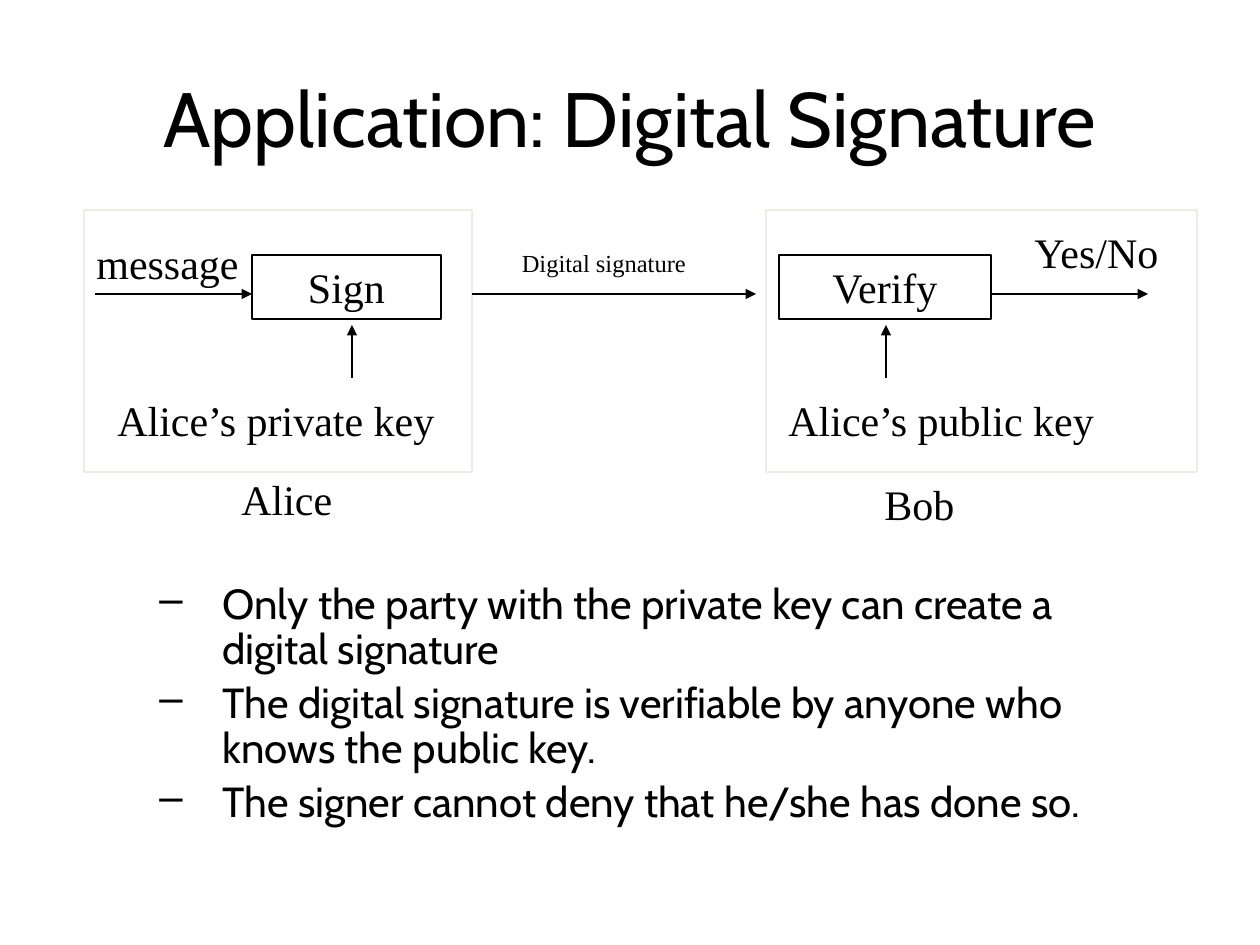
from lxml.etree import SubElement
from pptx import Presentation
from pptx.dml.color import RGBColor
from pptx.enum.shapes import MSO_CONNECTOR, MSO_SHAPE
from pptx.enum.text import MSO_ANCHOR, PP_ALIGN
from pptx.oxml.ns import qn
from pptx.util import Pt

SCALE = 914400 / 126
COLORS = {"ink": "000000", "paper": "FFFFFF", "frame": "EEECE1"}
SERIF, SANS = "Times New Roman", "Cabin"


def emu(*pixels):
    """Turn pixel lengths into EMU."""
    return [round(pixel * SCALE) for pixel in pixels]


def write(paragraph, text, size, font, align=PP_ALIGN.LEFT):
    """Put formatted text into a paragraph."""
    paragraph.text = text
    paragraph.alignment = align
    paragraph.font.size = Pt(size)
    paragraph.font.name = font
    paragraph.font.color.rgb = RGBColor.from_string(COLORS["ink"])


presentation = Presentation()
presentation.slide_width, presentation.slide_height = emu(1260, 945)
slide = presentation.slides.add_slide(presentation.slide_layouts[5])
shapes = slide.shapes

title = shapes.title
title.left, title.top, title.width, title.height = emu(63, 38, 1134, 158)
title.text_frame.vertical_anchor = MSO_ANCHOR.MIDDLE
write(title.text_frame.paragraphs[0], "Application: Digital Signature", 44, SANS, PP_ALIGN.CENTER)

# The two parties, each with one processing step
boxes = [
    ("", 766, 210, 431, 262, "frame", 0.75),
    ("", 84, 210, 388, 262, "frame", 0.75),
    ("Sign", 252, 255, 189, 64, "ink", 1),
    ("Verify", 779, 255, 212, 64, "ink", 1),
]
for text, left, top, width, height, line, weight in boxes:
    box = shapes.add_shape(MSO_SHAPE.RECTANGLE, *emu(left, top, width, height))
    box.shadow.inherit = False
    box.line.color.rgb = RGBColor.from_string(COLORS[line])
    box.line.width = Pt(weight)
    if text:
        box.fill.background()
        box.text_frame.vertical_anchor = MSO_ANCHOR.TOP
        write(box.text_frame.paragraphs[0], text, 24, SERIF, PP_ALIGN.CENTER)
    else:
        box.fill.solid()
        box.fill.fore_color.rgb = RGBColor.from_string(COLORS["paper"])

labels = [
    ("message", 84, 231, 168, 63, 24, PP_ALIGN.LEFT),
    ("Digital signature", 494, 242, 220, 42, 14, PP_ALIGN.CENTER),
    ("Yes/No", 1022, 220, 154, 63, 24, PP_ALIGN.LEFT),
    ("Alice’s private key", 105, 388, 363, 63, 24, PP_ALIGN.LEFT),
    ("Alice’s public key", 776, 388, 333, 63, 24, PP_ALIGN.LEFT),
    ("Alice", 229, 467, 116, 63, 24, PP_ALIGN.LEFT),
    ("Bob", 872, 472, 96, 63, 24, PP_ALIGN.LEFT),
]
for text, left, top, width, height, size, align in labels:
    label = shapes.add_textbox(*emu(left, top, width, height))
    label.text_frame.word_wrap = False
    write(label.text_frame.paragraphs[0], text, size, SERIF, align)

flows = [(95, 294, 252, 294), (472, 294, 756, 294), (991, 294, 1148, 294)]
keys = [(x, 378, x, 325) for x in (352, 886)]
for ends in flows + keys:
    arrow = shapes.add_connector(MSO_CONNECTOR.STRAIGHT, *emu(*ends))
    arrow.line.color.rgb = RGBColor.from_string(COLORS["ink"])
    arrow.line.width = Pt(1)
    SubElement(arrow.line._get_or_add_ln(), qn("a:tailEnd"), type="triangle")
    SubElement(arrow._element.spPr, qn("a:effectLst"))

properties = shapes.add_textbox(*emu(84, 577, 1071, 284)).text_frame
properties.word_wrap = True
statements = [
    "Only the party with the private key can create a digital signature",
    "The digital signature is verifiable by anyone who knows the public key.",
    "The signer cannot deny that he/she has done so.",
]
indent, hanging = emu(126, -63)
for number, statement in enumerate(statements):
    paragraph = properties.add_paragraph() if number else properties.paragraphs[0]
    write(paragraph, statement, 24, SANS)
    paragraph.level = 1
    paragraph.line_spacing = 0.9
    paragraph.space_before = Pt(4.8)
    settings = paragraph._p.get_or_add_pPr()
    settings.set("marL", str(indent))
    settings.set("indent", str(hanging))
    bullet = SubElement(settings, qn("a:buChar"), char="–")
    settings.find(qn("a:defRPr")).addprevious(bullet)

presentation.save("out.pptx")
